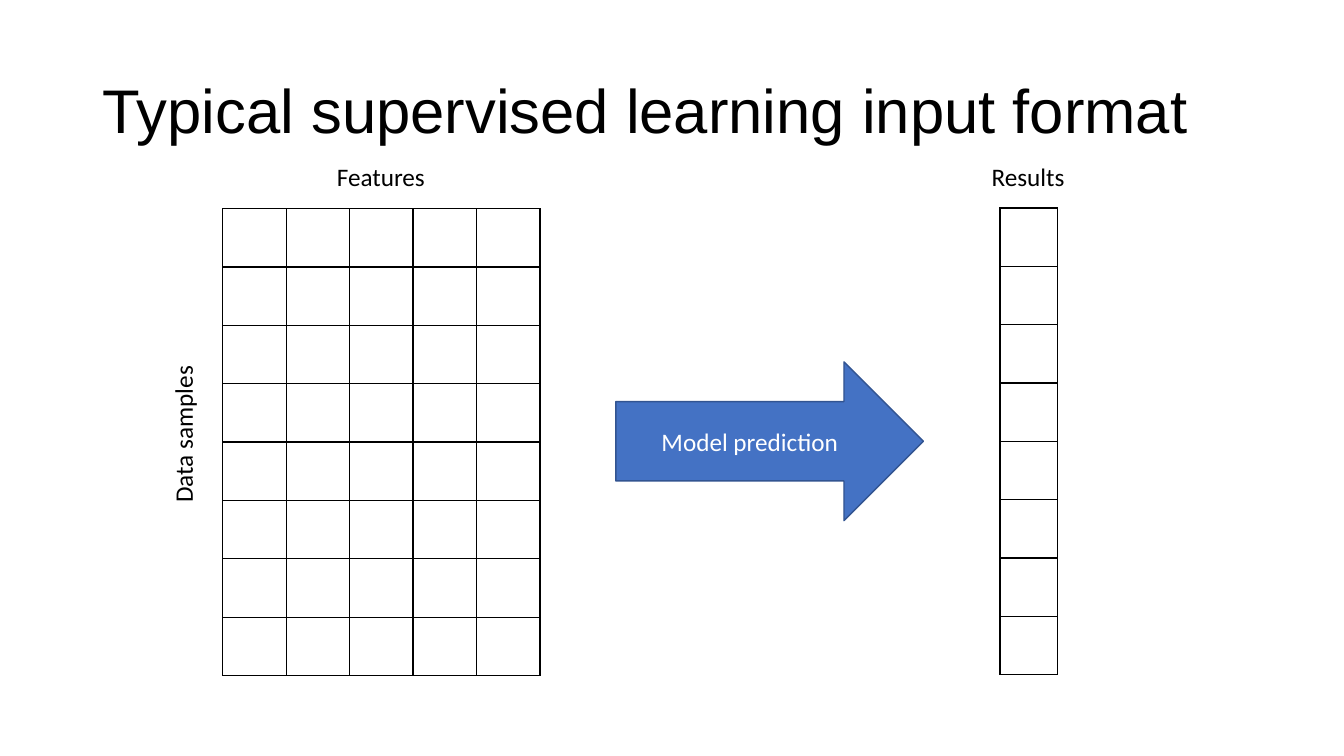
from pptx import Presentation
from pptx.dml.color import RGBColor
from pptx.enum import shapes, text
from pptx.oxml.ns import qn
from pptx.util import Cm, Pt
from lxml import etree

BLACK = RGBColor(0x00, 0x00, 0x00)
WHITE = RGBColor(0xFF, 0xFF, 0xFF)
BLUE = RGBColor(0x44, 0x72, 0xC4)
DARK_BLUE = RGBColor(0x32, 0x54, 0x91)

SAMPLES = 8
ROW_HEIGHT = 1.47
LABEL_HEIGHT = 1.02


def style(p, size, color, name="Calibri"):
    p.font.size = Pt(size)
    p.font.name = name
    p.font.color.rgb = color


def add_title(s, left, top, width, height):
    sp = s.shapes.title
    sp.left, sp.top, sp.width, sp.height = map(Cm, (left, top, width, height))
    tf = sp.text_frame
    tf.text = "Typical supervised learning input format"
    tf.word_wrap = True
    tf.vertical_anchor = text.MSO_ANCHOR.MIDDLE
    p = tf.paragraphs[0]
    p.alignment = text.PP_ALIGN.LEFT
    p.line_spacing = 0.9
    style(p, 44, BLACK, "Arial")


def add_label(s, label, center_x, center_y, width, rotation=0):
    sp = s.shapes.add_textbox(Cm(center_x - width / 2), Cm(center_y - LABEL_HEIGHT / 2),
                              Cm(width), Cm(LABEL_HEIGHT))
    sp.rotation = rotation
    tf = sp.text_frame
    tf.word_wrap = False
    tf.auto_size = text.MSO_AUTO_SIZE.SHAPE_TO_FIT_TEXT
    tf.text = label
    style(tf.paragraphs[0], 18, BLACK)


def add_border(cell):
    tc_pr = cell._tc.get_or_add_tcPr()
    for side in ("a:lnL", "a:lnR", "a:lnT", "a:lnB"):
        ln = etree.SubElement(tc_pr, qn(side), w=str(Pt(1)))
        fill = etree.SubElement(ln, qn("a:solidFill"))
        etree.SubElement(fill, qn("a:srgbClr"), val=str(BLACK))


def add_grid(s, left, top, columns, column_width, label, label_width):
    """Empty grid with one row per sample and a label centred above it."""
    width = columns * column_width
    table = s.shapes.add_table(SAMPLES, columns, Cm(left), Cm(top),
                               Cm(width), Cm(SAMPLES * ROW_HEIGHT)).table
    table.first_row = table.horz_banding = False
    for column in table.columns:
        column.width = Cm(column_width)
    for row in table.rows:
        row.height = Cm(ROW_HEIGHT)
    for cell in table.iter_cells():
        add_border(cell)
        cell.fill.background()
    add_label(s, label, left + width / 2, top - 0.8, label_width)


def add_features(s, left, top):
    add_grid(s, left, top, 5, 1.6, "Features", 2.74)
    add_label(s, "Data samples", left - 1, top + 5.66, 3.99, rotation=270)


def add_prediction_arrow(s, left, top, width, height):
    sp = s.shapes.add_shape(shapes.MSO_SHAPE.RIGHT_ARROW,
                            Cm(left), Cm(top), Cm(width), Cm(height))
    sp.shadow.inherit = False
    sp.fill.solid()
    sp.fill.fore_color.rgb = BLUE
    sp.line.color.rgb = DARK_BLUE
    sp.line.width = Pt(1)
    tf = sp.text_frame
    tf.text = "Model prediction"
    tf.vertical_anchor = text.MSO_ANCHOR.MIDDLE
    p = tf.paragraphs[0]
    p.alignment = text.PP_ALIGN.CENTER
    style(p, 18, WHITE)


def main():
    prs = Presentation()
    prs.slide_width, prs.slide_height = Cm(33.87), Cm(19.05)
    s = prs.slides.add_slide(prs.slide_layouts[5])

    # Title
    add_title(s, 2.33, 1.01, 29.21, 3.68)
    # Input grid, model and output column
    add_features(s, 5.61, 5.26)
    add_prediction_arrow(s, 15.52, 9.12, 7.75, 4)
    add_grid(s, 25.2, 5.24, 1, 1.44, "Results", 2.36)

    prs.save("out.pptx")


if __name__ == "__main__":
    main()
